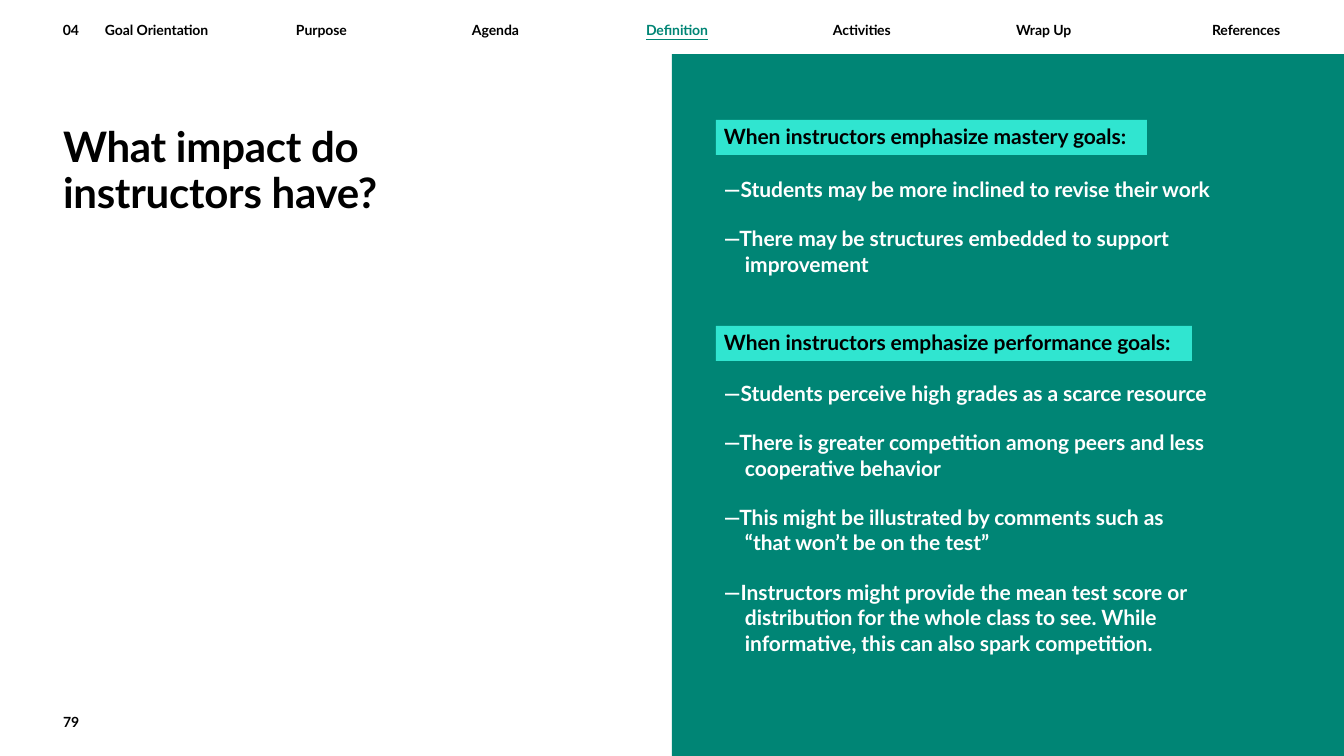
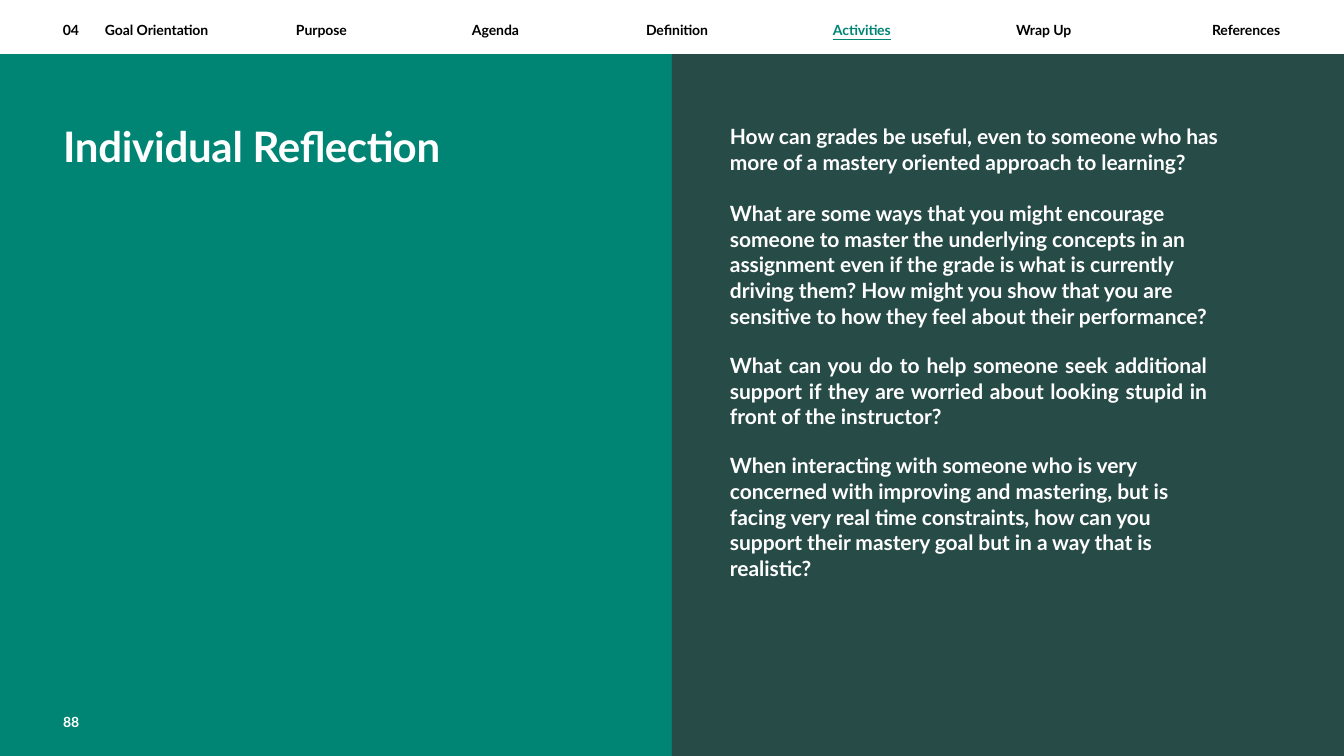
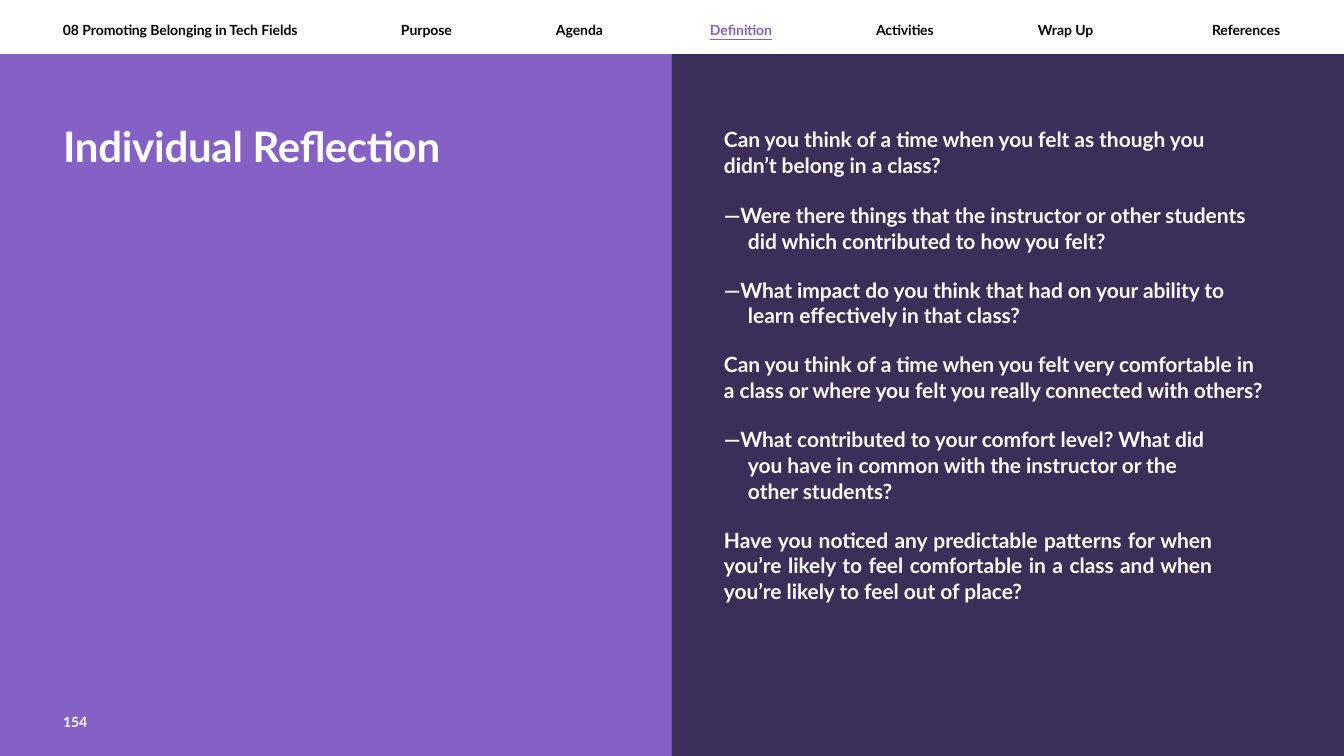
"""Build three course slides with a navigation bar and split panels."""
import pptx
import pptx.dml.color
import pptx.enum.shapes
import pptx.enum.text
import pptx.oxml.ns
import pptx.util
from lxml import etree

PX = 914400 / 84
WIDTH, HEIGHT, BAR, SPLIT, MARGIN = 1344, 756, 54, 672, 63
FONT = "Lato"
BLACK, WHITE, GREEN, DARK_GREEN, AQUA = "000000", "FFFFFF", "008575", "274B47", "30E5D0"
PURPLE, DARK_PURPLE = "8661C5", "3B2E58"
LEFT = pptx.enum.text.PP_ALIGN.LEFT
JUSTIFY = pptx.enum.text.PP_ALIGN.JUSTIFY

NAVIGATION = ["Purpose", "Agenda", "Definition", "Activities", "Wrap Up", "References"]
GOAL_STOPS = [296, 472, 646, 833, 1016, 1212]
BELONGING_STOPS = [401, 556, 710, 876, 1038, 1212]

SLIDES = [
    {
        "section": "04\tGoal Orientation", "stops": GOAL_STOPS, "active": "Definition",
        "accent": GREEN, "panels": [None, GREEN], "ink": BLACK, "number": "79",
        "title": "What impact do instructors have?", "body_left": 724, "hanging": 21,
        "headings": [
            ("When instructors emphasize mastery goals:", 120, 431),
            ("When instructors emphasize performance goals:", 326, 476),
        ],
        "blocks": [
            (176, 507, [
                ("—Students may be more inclined to revise their work", {}),
                ("—There may be structures embedded to support improvement", {}),
            ]),
            (380, 507, [
                ("—Students perceive high grades as a scarce resource", {}),
                ("—There is greater competition among peers and less cooperative behavior", {}),
                ("—This might be illustrated by comments such as “that won’t be on the test”",
                 {"right": 40}),
                ("—Instructors might provide the mean test score or distribution for the whole "
                 "class to see. While informative, this can also spark competition.", {}),
            ]),
        ],
    },
    {
        "section": "04\tGoal Orientation", "stops": GOAL_STOPS, "active": "Activities",
        "accent": GREEN, "panels": [GREEN, DARK_GREEN], "ink": WHITE, "number": "88",
        "title": "Individual Reflection", "body_left": 730, "hanging": 0,
        "headings": [],
        "blocks": [
            (123, 506, [
                ("How can grades be useful, even to someone who has more of a mastery "
                 "oriented approach to learning?", {}),
            ]),
            (200, 522, [
                ("What are some ways that you might encourage someone to master the underlying "
                 "concepts in an assignment even if the grade is what is currently driving "
                 "them? How might you show that you are sensitive to how they feel about their "
                 "performance?", {"right": 36}),
                ("What can you do to help someone seek additional support if they are worried "
                 "about looking stupid in front of the instructor?",
                 {"right": 45, "align": JUSTIFY}),
                ("When interacting with someone who is very concerned with improving and "
                 "mastering, but is facing very real time constraints, how can you support "
                 "their mastery goal but in a way that is realistic?", {}),
            ]),
        ],
    },
    {
        "section": "08 Promoting Belonging in Tech Fields", "stops": BELONGING_STOPS,
        "active": "Definition", "accent": PURPLE, "panels": [PURPLE, DARK_PURPLE],
        "ink": WHITE, "number": "154",
        "title": "Individual Reflection", "body_left": 724, "hanging": 24,
        "headings": [],
        "blocks": [
            (126, 502, [
                ("Can you think of a time when you felt as though you didn’t belong in a class?",
                 {}),
            ]),
            (202, 549, [
                ("—Were there things that the instructor or other students did which "
                 "contributed to how you felt?", {"right": 20}),
                ("—What impact do you think that had on your ability to learn effectively in "
                 "that class?", {"right": 35}),
                ("Can you think of a time when you felt very comfortable in a class or where "
                 "you felt you really connected with others?", {"right": 5}),
                ("—What contributed to your comfort level? What did you have in common with "
                 "the instructor or the other students?", {"right": 55}),
                ("Have you noticed any predictable patterns for when you’re likely to feel "
                 "comfortable in a class and when you’re likely to feel out of place?",
                 {"right": 61, "align": JUSTIFY}),
            ]),
        ],
    },
]


def px(value):
    """Turn pixels into EMU."""
    return pptx.util.Emu(round(value * PX))


def color(value):
    """Turn a hex string into a colour."""
    return pptx.dml.color.RGBColor.from_string(value)


def prepare(shape, wrap=True, inset=(0, 0)):
    """Clear a text frame's insets and anchor it at the top."""
    frame = shape.text_frame
    frame.word_wrap = wrap
    frame.auto_size = pptx.enum.text.MSO_AUTO_SIZE.NONE
    frame.vertical_anchor = pptx.enum.text.MSO_ANCHOR.TOP
    frame.margin_left, frame.margin_top = px(inset[0]), px(inset[1])
    frame.margin_right = frame.margin_bottom = 0
    return frame


def write(paragraph, text, size=18, ink=WHITE, spacing=-7, align=LEFT, line=None, before=0,
          hanging=0, right=0, tab=None, underline=False):
    """Put formatted text into a paragraph."""
    paragraph.alignment = align
    paragraph.space_before = pptx.util.Pt(before)
    if line:
        paragraph.line_spacing = line
    properties = paragraph._p.get_or_add_pPr()
    properties.set("marL", str(px(hanging)))
    properties.set("indent", str(px(-hanging)))
    if right:
        properties.set("marR", str(px(right)))
    if tab:
        tabs = etree.SubElement(properties, pptx.oxml.ns.qn("a:tabLst"))
        etree.SubElement(tabs, pptx.oxml.ns.qn("a:tab"), pos=str(px(tab)), algn="l")
    run = paragraph.add_run()
    run.text = text
    font = run.font
    font.name, font.size, font.bold = FONT, pptx.util.Pt(size), True
    font.underline = underline
    font.color.rgb = color(ink)
    run._r.get_or_add_rPr().set("spc", str(spacing))


def add_label(slide, text, left, top, width, **style):
    """Add one small line of text."""
    box = slide.shapes.add_textbox(px(left), px(top), px(width), px(18))
    write(prepare(box, wrap=False).paragraphs[0], text, size=12, **style)


def add_rectangle(slide, left, top, width, height, fill):
    """Add a plain filled rectangle."""
    shape = slide.shapes.add_shape(pptx.enum.shapes.MSO_SHAPE.RECTANGLE,
                                   px(left), px(top), px(width), px(height))
    shape.shadow.inherit = False
    shape.fill.solid()
    shape.fill.fore_color.rgb = color(fill)
    shape.line.fill.background()
    return shape


def add_panels(slide, content):
    """Add the two halves below the navigation bar."""
    for index, fill in enumerate(content["panels"]):
        if fill:
            add_rectangle(slide, index * SPLIT, BAR, SPLIT, HEIGHT - BAR, fill)


def add_title(slide, content):
    """Place and format the title in front of the panels."""
    title = slide.shapes.title
    slide.shapes._spTree.append(title._element)
    title.left, title.top, title.width, title.height = px(MARGIN), px(124), px(388), px(96)
    write(prepare(title).paragraphs[0], content["title"], size=36, ink=content["ink"],
          spacing=-23, line=pptx.util.Pt(40))


def add_navigation(slide, content):
    """Add the section name, the navigation items and the page number."""
    add_label(slide, content["section"], MARGIN, 22, 260, ink=BLACK, tab=31)
    for text, left in zip(NAVIGATION, content["stops"]):
        active = text == content["active"]
        add_label(slide, text, left, 22, 72, underline=active,
                  ink=content["accent"] if active else BLACK)
    add_label(slide, content["number"], MARGIN, 714, 28, ink=content["ink"], spacing=0)


def add_body(slide, content):
    """Add the highlighted headings and the text blocks."""
    left = content["body_left"]
    for text, top, width in content["headings"]:
        shape = add_rectangle(slide, left - 8, top, width, 35, AQUA)
        write(prepare(shape, inset=(8, 4)).paragraphs[0], text, ink=BLACK)
    for top, width, paragraphs in content["blocks"]:
        height = 49 * len(paragraphs) + 26
        box = slide.shapes.add_textbox(px(left), px(top), px(width), px(height))
        frame = prepare(box)
        for index, (text, style) in enumerate(paragraphs):
            paragraph = frame.add_paragraph() if index else frame.paragraphs[0]
            hanging = content["hanging"] if text.startswith("—") else 0
            write(paragraph, text, line=1.02, before=20 if index else 0, hanging=hanging,
                  **style)


def main():
    """Build and save the presentation."""
    presentation = pptx.Presentation()
    presentation.slide_width, presentation.slide_height = px(WIDTH), px(HEIGHT)
    for content in SLIDES:
        slide = presentation.slides.add_slide(presentation.slide_layouts[5])
        add_panels(slide, content)
        add_title(slide, content)
        add_navigation(slide, content)
        add_body(slide, content)
    presentation.save("out.pptx")


if __name__ == "__main__":
    main()
